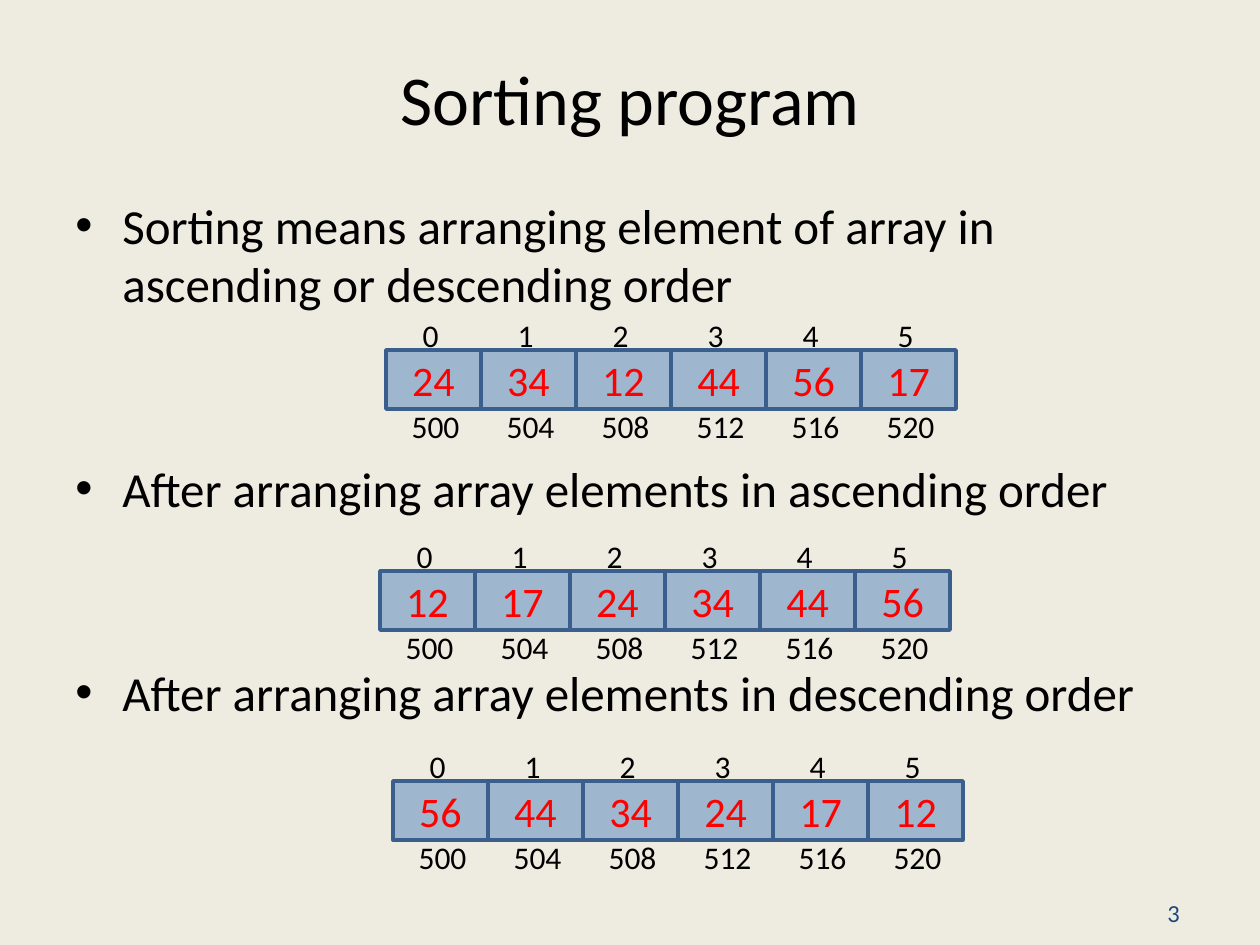
import pptx
import pptx.dml.color
import pptx.enum.shapes
import pptx.enum.text
import pptx.oxml.ns
import pptx.util
import lxml.etree

RGBColor = pptx.dml.color.RGBColor
ALIGN = pptx.enum.text.PP_ALIGN
ANCHOR = pptx.enum.text.MSO_ANCHOR

PAPER = RGBColor(0xEE, 0xEC, 0xE1)
INK = RGBColor(0x00, 0x00, 0x00)
NAVY = RGBColor(0x1F, 0x49, 0x7D)
CELL_BLUE = RGBColor(0x4F, 0x81, 0xBD)
CELL_EDGE = RGBColor(0x3A, 0x5F, 0x8C)
VALUE_RED = RGBColor(0xFF, 0x00, 0x00)

CELL_WIDTH, CELL_HEIGHT = 95, 59
FIRST_ADDRESS, ELEMENT_BYTES = 500, 4


def px(length):
    return pptx.util.Emu(round(length * 914400 / 126))


def add_run(paragraph, words, size, color):
    run = paragraph.add_run()
    run.text = words
    run.font.name = "Calibri"
    run.font.size = pptx.util.Pt(size)
    run.font.color.rgb = color


def add_text(shapes, box, words, size, color=INK, align=ALIGN.CENTER):
    label = shapes.add_textbox(*map(px, box))
    frame = label.text_frame
    frame.word_wrap = True
    frame.vertical_anchor = ANCHOR.MIDDLE
    frame.paragraphs[0].alignment = align
    add_run(frame.paragraphs[0], words, size, color)


def add_bullets(slide, box, points):
    body = slide.shapes.add_textbox(*map(px, box))
    frame = body.text_frame
    frame.word_wrap = True
    for number, point in enumerate(points):
        paragraph = frame.add_paragraph() if number else frame.paragraphs[0]
        paragraph.space_before = pptx.util.Pt(83 if number else 2)
        properties = paragraph._p.get_or_add_pPr()
        properties.set("marL", str(px(47)))
        properties.set("indent", str(-px(47)))
        font = lxml.etree.SubElement(properties, pptx.oxml.ns.qn("a:buFont"))
        font.set("typeface", "Arial")
        bullet = lxml.etree.SubElement(properties, pptx.oxml.ns.qn("a:buChar"))
        bullet.set("char", "•")
        add_run(paragraph, point, 28, INK)


def add_cell(shapes, box, value):
    cell = shapes.add_shape(pptx.enum.shapes.MSO_SHAPE.RECTANGLE, *map(px, box))
    cell.shadow.inherit = False
    cell.fill.solid()
    cell.fill.fore_color.rgb = CELL_BLUE
    color = cell.fill._xPr.find(".//" + pptx.oxml.ns.qn("a:srgbClr"))
    lxml.etree.SubElement(color, pptx.oxml.ns.qn("a:alpha")).set("val", "50000")
    cell.line.color.rgb = CELL_EDGE
    cell.line.width = pptx.util.Pt(2)
    cell.text_frame.vertical_anchor = ANCHOR.MIDDLE
    paragraph = cell.text_frame.paragraphs[0]
    paragraph.alignment = ALIGN.CENTER
    add_run(paragraph, str(value), 24, VALUE_RED)


def add_array(slide, left, top, values):
    shapes = slide.shapes.add_group_shape().shapes
    for index, value in enumerate(values):
        x = left + index * CELL_WIDTH
        address = FIRST_ADDRESS + index * ELEMENT_BYTES
        size = (CELL_WIDTH, CELL_HEIGHT)
        add_cell(shapes, (x, top, *size), value)
        add_text(shapes, (x - 3, top - 45, *size), str(index), 18)
        add_text(shapes, (x + 2, top + 46, *size), str(address), 18)


def build_sorting_slide(deck):
    slide = deck.slides.add_slide(deck.slide_layouts[6])
    slide.background.fill.solid()
    slide.background.fill.fore_color.rgb = PAPER
    add_text(slide.shapes, (1155, 892, 84, 42), "3", 14, NAVY, ALIGN.LEFT)
    add_text(slide.shapes, (63, 48, 1134, 98), "Sorting program", 40)
    add_bullets(slide, (63, 189, 1134, 655), [
        "Sorting means arranging element of array in ascending or descending order",
        "After arranging array elements in ascending order",
        "After arranging array elements in descending order",
    ])
    numbers = [24, 34, 12, 44, 56, 17]
    add_array(slide, 386, 350, numbers)
    add_array(slide, 380, 571, sorted(numbers))
    add_array(slide, 393, 781, [56, 44, 34, 24, 17, 12])


def main():
    deck = pptx.Presentation()
    deck.slide_width, deck.slide_height = px(1260), px(945)
    build_sorting_slide(deck)
    deck.save("out.pptx")


if __name__ == "__main__":
    main()
